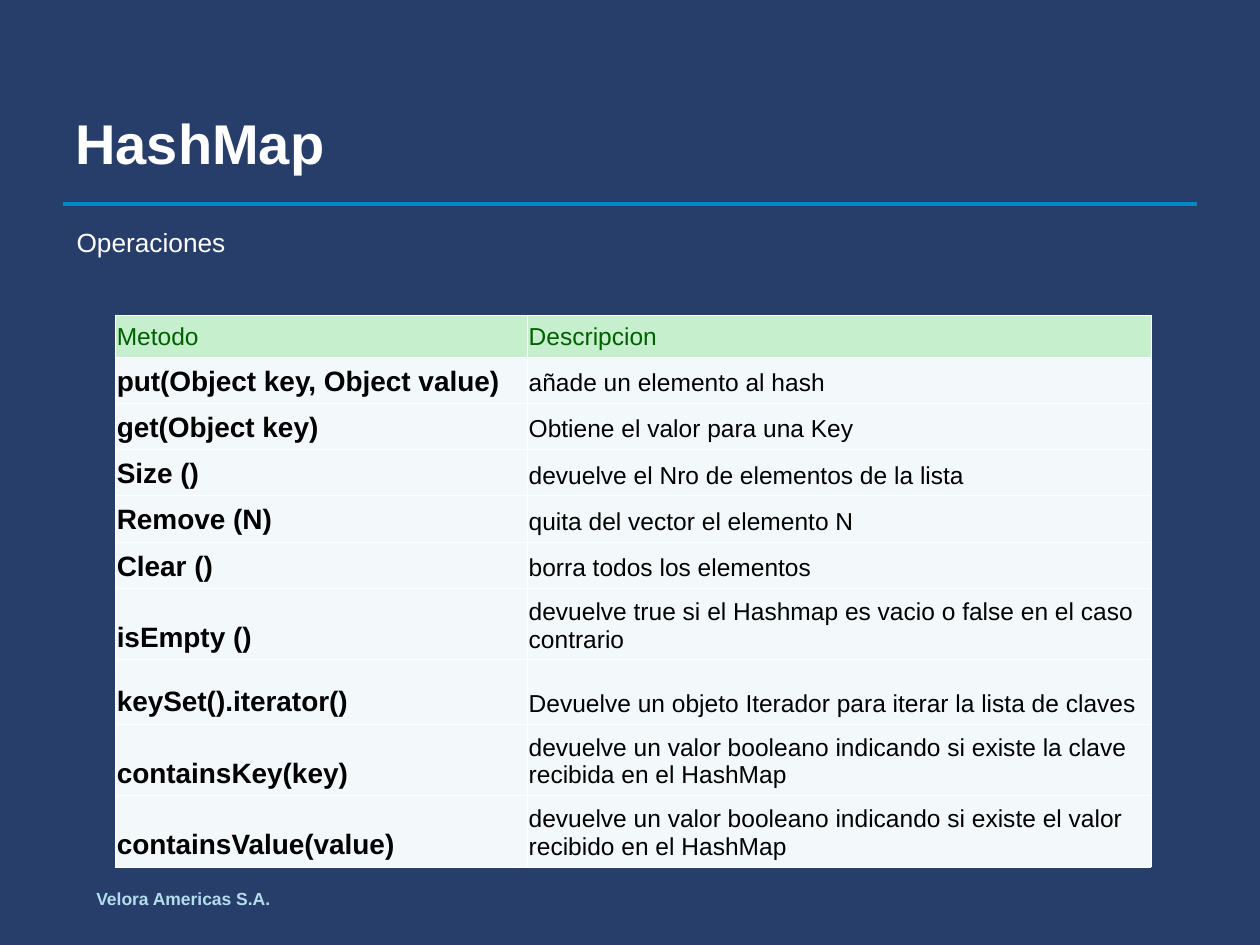
from pptx import Presentation
from pptx.dml.color import RGBColor
from pptx.enum.shapes import MSO_CONNECTOR
from pptx.enum.text import MSO_ANCHOR
from pptx.oxml.ns import qn
from pptx.util import Pt
from lxml.etree import SubElement

METHODS = [
    ("put(Object key, Object value)", "añade un elemento al hash"),
    ("get(Object key)", "Obtiene el valor para una Key"),
    ("Size ()", "devuelve el Nro de elementos de la lista"),
    ("Remove (N)", "quita del vector el elemento N"),
    ("Clear ()", "borra todos los elementos"),
    ("isEmpty ()", "devuelve true si el Hashmap es vacio o false en el caso contrario"),
    ("keySet().iterator()", "Devuelve un objeto Iterador para iterar la lista de claves"),
    ("containsKey(key)",
     "devuelve un valor booleano indicando si existe la clave recibida en el HashMap"),
    ("containsValue(value)",
     "devuelve un valor booleano indicando si existe el valor recibido en el HashMap"),
]
COL_WIDTHS = [235.4, 356.4]
ROW_HEIGHTS = [19] + [20.2] * 5 + [36.7] * 2 + [36] * 2


def rgb(color):
    return RGBColor.from_string(color)


def write(tf, text, size=14, color="000000", bold=False):
    r = tf.paragraphs[0].add_run()
    r.text = text
    r.font.name = "Arial"
    r.font.size = Pt(size)
    r.font.bold = bold
    r.font.color.rgb = rgb(color)


def add_text(s, text, left, top, width, height, anchor=MSO_ANCHOR.TOP, **fmt):
    tf = s.shapes.add_textbox(Pt(left), Pt(top), Pt(width), Pt(height)).text_frame
    tf.word_wrap = True
    tf.vertical_anchor = anchor
    write(tf, text, **fmt)


def add_rule(s, x1, x2, y, color, weight):
    line = s.shapes.add_connector(MSO_CONNECTOR.STRAIGHT, Pt(x1), Pt(y), Pt(x2), Pt(y))
    line.line.color.rgb = rgb(color)
    line.line.width = Pt(weight)
    SubElement(line._element.spPr, qn("a:effectLst"))


def set_borders(cell, color, weight):
    tcPr = cell._tc.get_or_add_tcPr()
    for side in ("a:lnL", "a:lnR", "a:lnT", "a:lnB"):
        ln = SubElement(tcPr, qn(side), w=str(int(Pt(weight))))
        fill = SubElement(ln, qn("a:solidFill"))
        SubElement(fill, qn("a:srgbClr"), val=color)


def fill_cell(cell, text, fill, **fmt):
    cell.margin_left = cell.margin_right = Pt(0.75)
    cell.margin_top = cell.margin_bottom = Pt(3.6)
    cell.vertical_anchor = MSO_ANCHOR.BOTTOM
    set_borders(cell, "FFFFFF", 0.45)
    cell.fill.solid()
    cell.fill.fore_color.rgb = rgb(fill)
    write(cell.text_frame, text, **fmt)


def add_methods_table(s, left, top):
    table = s.shapes.add_table(len(ROW_HEIGHTS), len(COL_WIDTHS), Pt(left), Pt(top),
                               Pt(sum(COL_WIDTHS)), Pt(sum(ROW_HEIGHTS))).table
    for column, width in zip(table.columns, COL_WIDTHS):
        column.width = Pt(width)
    for row, height in zip(table.rows, ROW_HEIGHTS):
        row.height = Pt(height)

    # Header row
    for col, heading in enumerate(("Metodo", "Descripcion")):
        fill_cell(table.cell(0, col), heading, "C6EFCE", color="006100")

    # One row per method
    for row, (method, description) in enumerate(METHODS, 1):
        fill_cell(table.cell(row, 0), method, "F3F9FA", size=16, bold=True)
        fill_cell(table.cell(row, 1), description, "F3F9FA")


def main():
    prs = Presentation()
    prs.slide_width, prs.slide_height = Pt(720), Pt(540)
    s = prs.slides.add_slide(prs.slide_layouts[6])
    s.background.fill.solid()
    s.background.fill.fore_color.rgb = rgb("283E6A")

    # Rule and footer
    add_rule(s, 36, 684, 116.5, "0089C4", 2.25)
    add_text(s, "Velora Americas S.A.", 48, 504, 426, 25,
             size=10, color="B3DCED", bold=True)

    # Title and subtitle
    add_text(s, "HashMap", 36, 36, 648, 90, anchor=MSO_ANCHOR.MIDDLE,
             size=32, color="FFFFFF", bold=True)
    add_text(s, "Operaciones", 36.7, 126, 648, 25, size=15, color="FFFFFF")

    add_methods_table(s, 66, 180)
    prs.save("out.pptx")


if __name__ == "__main__":
    main()
